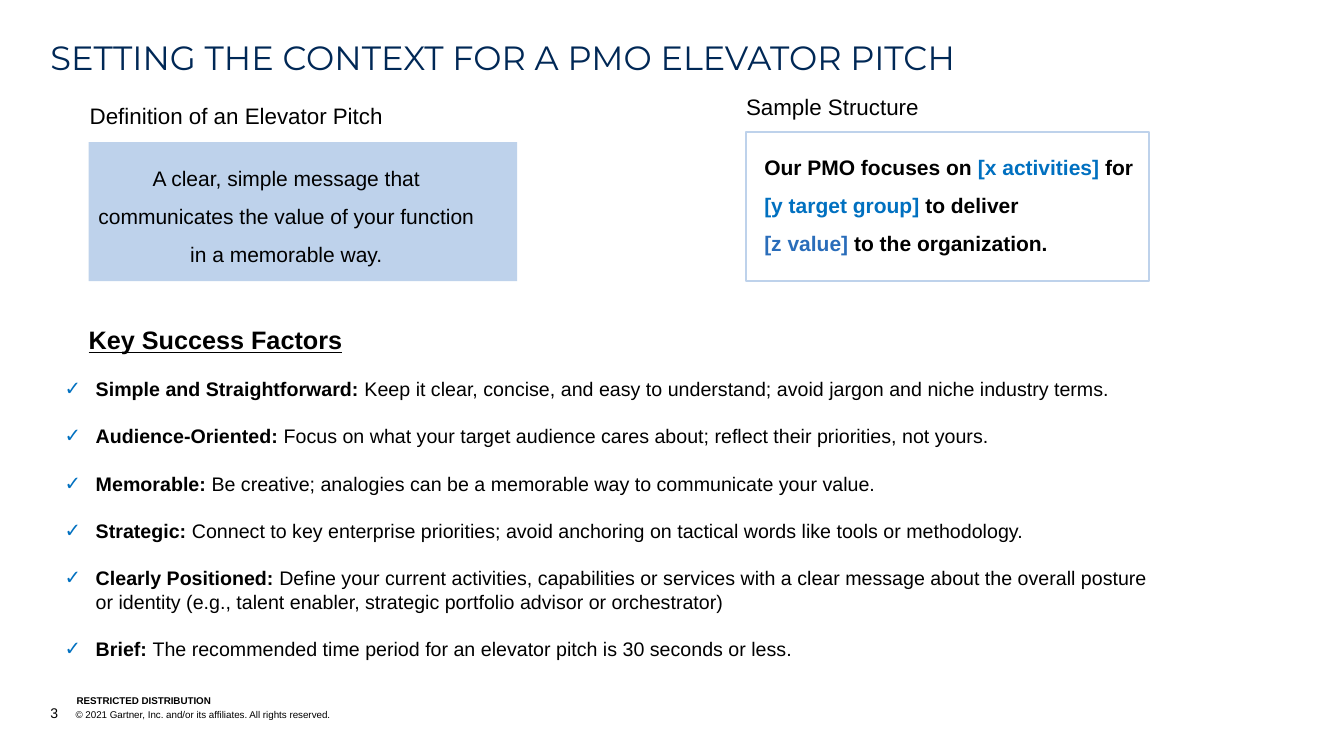
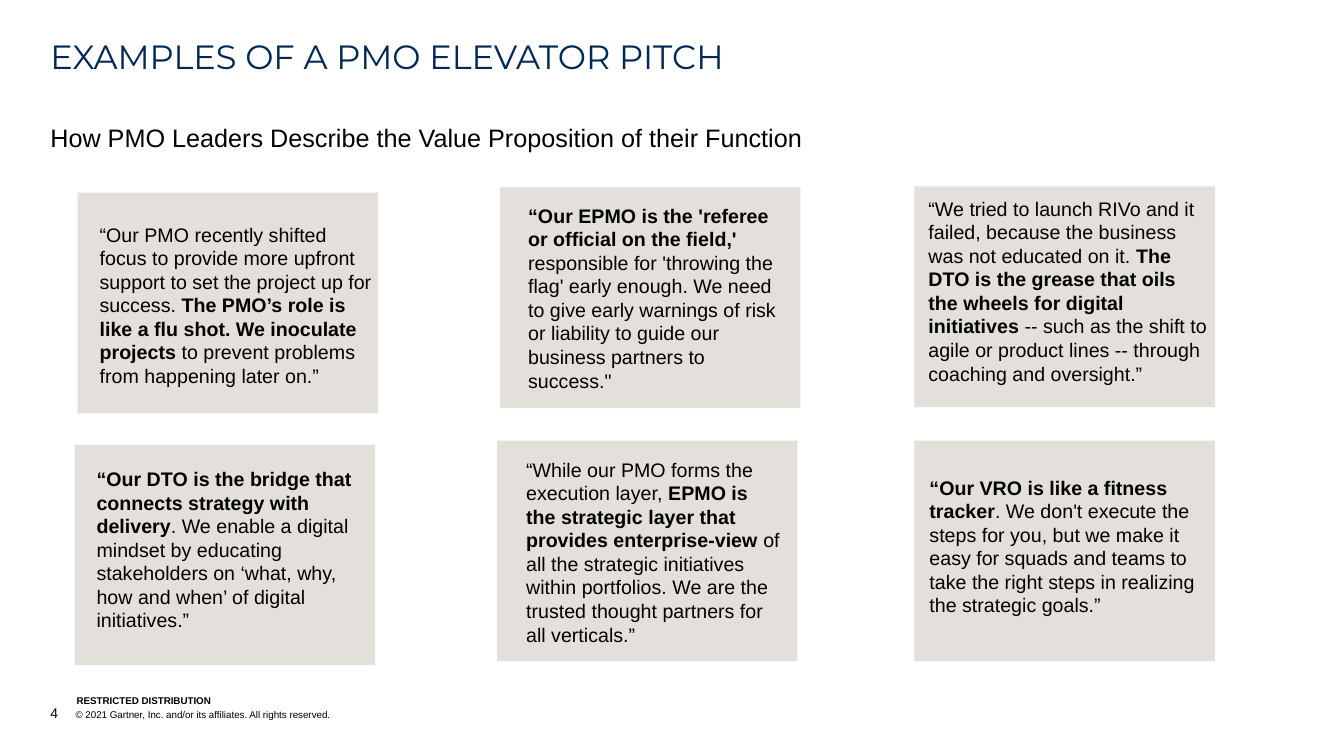
from dataclasses import dataclass
from lxml.etree import SubElement
from pptx import Presentation
from pptx.dml.color import RGBColor
from pptx.enum.shapes import MSO_SHAPE
from pptx.enum.text import MSO_ANCHOR, PP_ALIGN
from pptx.oxml.ns import qn
from pptx.util import Inches, Pt


@dataclass(frozen=True)
class Theme:
    # Fonts and colours
    body: str = "Arial"
    head: str = "Montserrat"
    ink: str = "000000"
    navy: str = "002856"
    blue: str = "0070C0"
    azure: str = "2A6DBA"
    pale: str = "BED2EB"
    stone: str = "E3DFDA"
    # Type sizes in points
    title: int = 24
    lead: int = 18
    label: int = 16
    pitch: int = 15
    text: int = 14
    page: int = 10
    legal: int = 7


T = Theme()
FLAT = (0, 0, 0, 0)
SNUG = (0, 0.05, 0, 0.05)
CARD = (2.98, 2.19)


@dataclass(frozen=True)
class Span:
    text: str
    bold: bool = False
    color: str = T.ink
    size: int = 0
    line: bool = False


def bold(text, color=T.ink):
    return Span(text, True, color)


def block(slide, at, paras, size, font=T.body, inset=FLAT,
          anchor=MSO_ANCHOR.TOP, align=PP_ALIGN.LEFT, lead=1.0, gap=0):
    """Add a text box; each paragraph is a list of spans."""
    frame = slide.shapes.add_textbox(*map(Inches, at)).text_frame
    frame.word_wrap = True
    frame.vertical_anchor = anchor
    (frame.margin_left, frame.margin_top,
     frame.margin_right, frame.margin_bottom) = map(Inches, inset)
    for i, spans in enumerate(paras):
        para = frame.add_paragraph() if i else frame.paragraphs[0]
        para.alignment = align
        para.line_spacing = lead
        if i and gap:
            para.space_before = Pt(gap)
        for span in spans:
            run = para.add_run()
            run.text = span.text
            run.font.name = font
            run.font.size = Pt(span.size or size)
            run.font.bold = span.bold
            run.font.underline = span.line
            run.font.color.rgb = RGBColor.from_string(span.color)
    return frame


def panel(slide, at, fill=None, edge=None):
    """Add a plain rectangle."""
    shape = slide.shapes.add_shape(MSO_SHAPE.RECTANGLE, *map(Inches, at))
    shape.shadow.inherit = False
    if fill:
        shape.fill.solid()
        shape.fill.fore_color.rgb = RGBColor.from_string(fill)
    else:
        shape.fill.background()
    if edge:
        shape.line.color.rgb = RGBColor.from_string(edge)
        shape.line.width = Pt(1.5)
    else:
        shape.line.fill.background()


def hang(para, indent):
    """Give a paragraph a hanging indent."""
    props = para._p.get_or_add_pPr()
    props.set("marL", str(Inches(indent)))
    props.set("indent", str(-Inches(indent)))
    return props


def check(para):
    """Give a paragraph a blue check mark."""
    props = hang(para, 0.31)
    color = SubElement(props, qn("a:buClr"))
    SubElement(color, qn("a:srgbClr"), val=T.blue)
    SubElement(props, qn("a:buFont"), typeface=T.body)
    SubElement(props, qn("a:buChar"), char="✓")


def label(slide, left, top, text):
    block(slide, (left, top, 4, 0.25), [[Span(text)]], T.label)


def quote(slide, card, box, spans):
    """Add a stone card with a quote placed over it."""
    panel(slide, (*card, *CARD), T.stone)
    block(slide, box, [spans], T.text, inset=(0.1, 0.05, 0.1, 0.05),
          anchor=MSO_ANCHOR.MIDDLE)


def start(deck, page, title, top):
    """Add a slide with its title and footer."""
    slide = deck.slides.add_slide(deck.slide_layouts[6])
    block(slide, (0.5, top, 12.33, 0.49), [[Span(title, color=T.navy)]],
          T.title, T.head, lead=0.9)
    block(slide, (0.76, 6.89, 2.53, 0.12), [[bold("RESTRICTED DISTRIBUTION")]],
          T.legal, anchor=MSO_ANCHOR.BOTTOM)
    legal = "\t© 2021 Gartner, Inc. and/or its affiliates. All rights reserved."
    foot = block(slide, (0.5, 6.99, 7.99, 0.17),
                 [[Span(str(page), size=T.page), Span(legal)]],
                 T.legal, anchor=MSO_ANCHOR.BOTTOM)
    hang(foot.paragraphs[0], 0.25)
    return slide


FACTORS = [
    ("Simple and Straightforward:",
     "Keep it clear, concise, and easy to understand; avoid jargon and niche "
     "industry terms."),
    ("Audience-Oriented:",
     "Focus on what your target audience cares about; reflect their "
     "priorities, not yours."),
    ("Memorable:",
     "Be creative; analogies can be a memorable way to communicate your value."),
    ("Strategic:",
     "Connect to key enterprise priorities; avoid anchoring on tactical words "
     "like tools or methodology."),
    ("Clearly Positioned:",
     "Define your current activities, capabilities or services with a clear "
     "message about the overall posture or identity (e.g., talent enabler, "
     "strategic portfolio advisor or orchestrator)"),
    ("Brief:",
     "The recommended time period for an elevator pitch is 30 seconds or less."),
]

# Card corner, text box, spans
QUOTES = [
    ((0.77, 1.91), (0.89, 2.07, 2.92, 1.91), [
        Span("“Our PMO recently shifted focus to provide more upfront support "
             "to set the project up for success. "),
        bold("The PMO’s role is like a flu shot. We inoculate projects"),
        Span(" to prevent problems from happening later on.”")]),
    ((4.96, 1.86), (5.14, 2.07, 2.72, 1.77), [
        bold("“Our EPMO is the 'referee or official on the field,' "),
        Span("responsible for 'throwing the flag' early enough. We need to "
             "give early warnings of risk or liability to guide our business "
             "partners to success.\"")]),
    ((9.07, 1.85), (9.11, 2.08, 2.98, 1.61), [
        Span("“We tried to launch RIVo and it failed, because the business "
             "was not educated on it. "),
        bold("The DTO is the grease that oils the wheels for digital "
             "initiatives"),
        Span(" -- such as the shift to agile or product lines -- through "
             "coaching and oversight.”")]),
    ((0.74, 4.41), (0.86, 4.44, 2.74, 2.02), [
        bold("“Our DTO is the bridge that connects strategy with delivery"),
        Span(". We enable a digital mindset by educating stakeholders on "
             "‘what, why, how and when’ of digital initiatives.”")]),
    ((4.93, 4.37), (5.12, 4.51, 2.72, 1.93), [
        Span("“While our PMO forms the execution layer, "),
        bold("EPMO is the strategic layer that provides enterprise-view "),
        Span("of all the strategic initiatives within portfolios. We are the "
             "trusted thought partners for all verticals.”")]),
    ((9.07, 4.37), (9.12, 4.4, 2.89, 2.04), [
        bold("“Our VRO is like a fitness tracker"),
        Span(". We don't execute the steps for you, but we make it easy for "
             "squads and teams to take the right steps in realizing the "
             "strategic goals.”")]),
]


def context(deck):
    slide = start(deck, 3, "SETTING THE CONTEXT FOR A PMO ELEVATOR PITCH", 0.41)

    # Definition
    label(slide, 0.89, 1.01, "Definition of an Elevator Pitch")
    panel(slide, (0.88, 1.41, 4.25, 1.38), T.pale)
    block(slide, (0.92, 1.52, 3.84, 1.03),
          [[Span("A clear, simple message that communicates the value of your "
                 "function in a memorable way.")]],
          T.pitch, align=PP_ALIGN.CENTER, lead=1.5)

    # Sample structure
    label(slide, 7.4, 0.92, "Sample Structure")
    panel(slide, (7.4, 1.31, 4, 1.48), edge=T.pale)
    block(slide, (7.58, 1.41, 3.82, 1.38), [
        [bold("Our PMO focuses on "), bold("[x activities] ", T.blue),
         bold("for")],
        [bold("[y target group]", T.blue), bold(" to deliver")],
        [bold("[z value] ", T.azure), bold("to the organization.")],
    ], T.pitch, lead=1.5)

    # Success factors
    block(slide, (0.88, 3.22, 4, 0.31),
          [[Span("Key Success Factors", True, line=True)]], T.lead)
    frame = block(slide, (0.64, 3.69, 10.76, 3.1),
                  [[bold(name + " "), Span(text)] for name, text in FACTORS],
                  T.text, inset=SNUG, gap=17)
    for para in frame.paragraphs:
        check(para)


def samples(deck):
    slide = start(deck, 4, "EXAMPLES OF A PMO ELEVATOR PITCH", 0.4)
    block(slide, (0.5, 1.16, 10.76, 0.4),
          [[Span("How PMO Leaders Describe the Value Proposition of their "
                 "Function")]], T.lead, inset=SNUG)
    for card, box, spans in QUOTES:
        quote(slide, card, box, spans)


def main():
    deck = Presentation()
    deck.slide_width, deck.slide_height = Inches(13.33), Inches(7.5)
    context(deck)
    samples(deck)
    deck.save("out.pptx")


if __name__ == "__main__":
    main()
